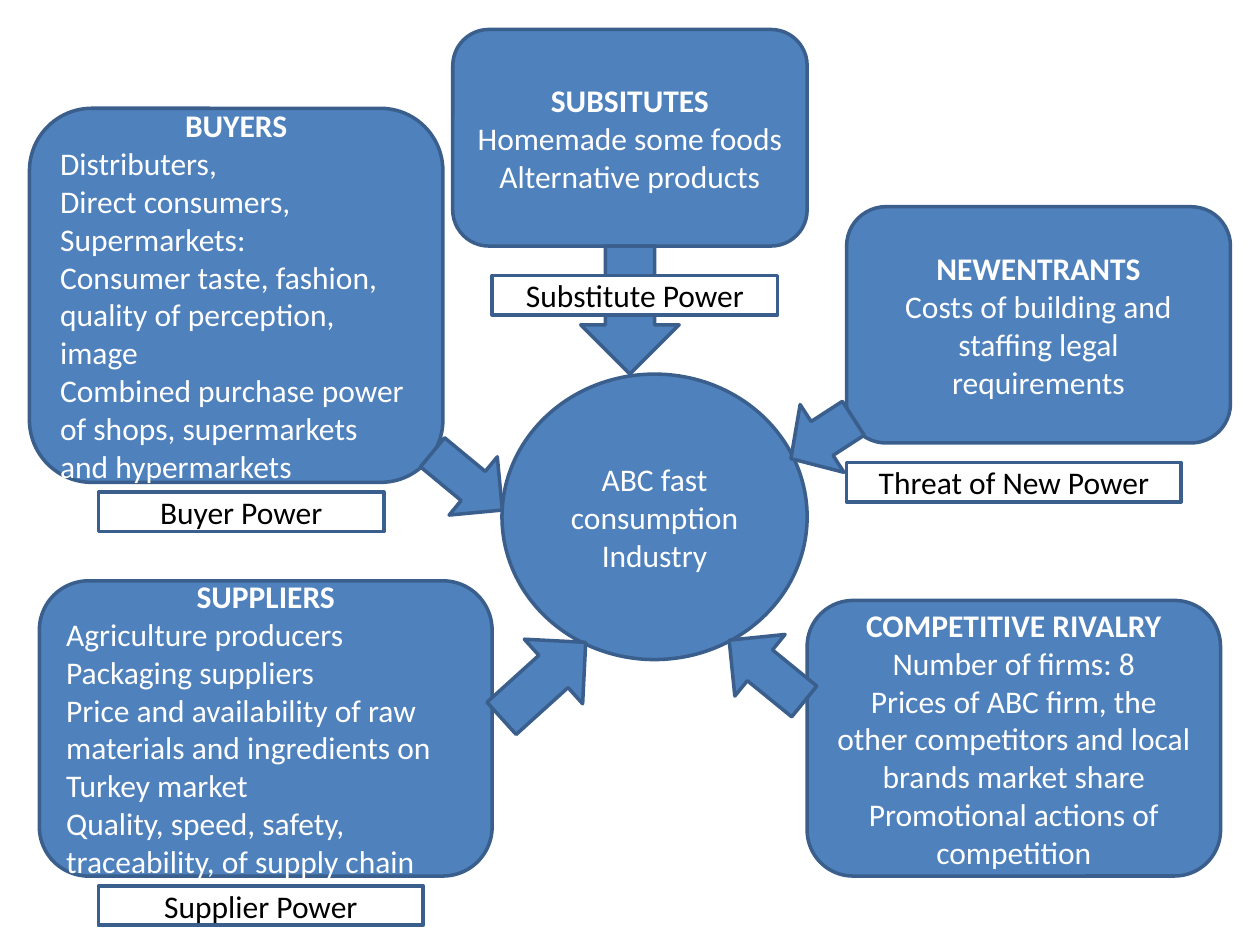
from pptx import Presentation
from pptx.dml.color import RGBColor
from pptx.enum.shapes import MSO_SHAPE as Kind
from pptx.enum.text import MSO_ANCHOR as Anchor, PP_ALIGN as Align
from pptx.util import Pt

BLUE, EDGE, WHITE, BLACK = "4F81BD", "3A5F8C", "FFFFFF", "000000"
FONT = {"name": "Calibri", "size": Pt(18)}
FRAME = {"word_wrap": True, "vertical_anchor": Anchor.MIDDLE}
LABEL_H = 22.5


def paint(part, color):
    part.rgb = RGBColor.from_string(color)


def style(target, values):
    for name, value in values.items():
        setattr(target, name, value)


def draw(slide, kind, box, fill=BLUE, turn=0):
    shape = slide.shapes.add_shape(kind, *map(Pt, box))
    shape.shadow.inherit = False
    shape.rotation = turn
    shape.fill.solid()
    paint(shape.fill.fore_color, fill)
    paint(shape.line.color, EDGE)
    shape.line.width = Pt(2)
    return shape


def write(shape, lines, color=WHITE, head=False, align=Align.CENTER):
    frame = shape.text_frame
    style(frame, FRAME)
    for i, line in enumerate(lines):
        para = frame.add_paragraph() if i else frame.paragraphs[0]
        para.alignment = align if i else Align.CENTER
        run = para.add_run()
        run.text = line
        style(run.font, FONT | {"bold": head and i == 0})
        paint(run.font.color, color)


def add_force(slide, box, lines, align, arrow, label):
    left, top = box[:2]
    write(draw(slide, Kind.ROUNDED_RECTANGLE, box), lines, head=True, align=align)
    kind, x, y, wide, high, turn = arrow
    draw(slide, kind, (left + x, top + y, wide, high), turn=turn)
    if label:
        text, x, y, wide = label
        tag = draw(slide, Kind.RECTANGLE, (left + x, top + y, wide, LABEL_H), WHITE)
        write(tag, [text], BLACK)


def add_core(slide, box, text):
    write(draw(slide, Kind.OVAL, box), [text])


FORCES = [
    ((258.75, 16.88, 202.5, 123.75),
     ["SUBSITUTES", "Homemade some foods", "Alternative products"],
     Align.CENTER,
     (Kind.DOWN_ARROW, 73.13, 123.75, 56.25, 73.13, 0),
     ("Substitute Power", 22.5, 140.63, 163.13)),
    ((461.25, 343.13, 236.25, 157.5),
     ["COMPETITIVE RIVALRY", "Number of firms: 8",
      "Prices of ABC firm, the other competitors and local brands market share "
      "Promotional actions of competition"],
     Align.CENTER,
     (Kind.UP_ARROW, -45.8, 12.5, 45.4, 55.4, 309.2),
     None),
    ((483.75, 118.13, 219.38, 135),
     ["NEWENTRANTS", "Costs of building and staffing legal requirements"],
     Align.CENTER,
     (Kind.LEFT_ARROW, -35.2, 109.4, 42.5, 46.1, 327.1),
     ("Threat of New Power", 0, 146.25, 191.25)),
    ((16.88, 61.88, 236.25, 213.75),
     ["BUYERS", "Distributers,", "Direct consumers,", "Supermarkets:",
      "Consumer taste, fashion, quality of perception, image",
      "Combined purchase power of shops, supermarkets and hypermarkets"],
     Align.LEFT,
     (Kind.UP_ARROW, 228.6, 187.2, 43.2, 51.8, 129.6),
     ("Buyer Power", 39.38, 219.38, 163.13)),
    ((22.5, 331.88, 258.75, 168.75),
     ["SUPPLIERS", "Agriculture producers", "Packaging suppliers",
      "Price and availability of raw materials and ingredients on Turkey market",
      "Quality, speed, safety, traceability, of supply chain"],
     Align.LEFT,
     (Kind.UP_ARROW, 263.3, 24.5, 49.7, 64.8, 47.9),
     ("Supplier Power", 33.75, 174.38, 185.63)),
]

deck = Presentation()
style(deck, {"slide_width": Pt(720), "slide_height": Pt(540)})
slide = deck.slides.add_slide(deck.slide_layouts[6])
add_core(slide, (286.88, 213.75, 174.38, 163.13), "ABC fast consumption Industry")
for force in FORCES:
    add_force(slide, *force)
deck.save("out.pptx")
